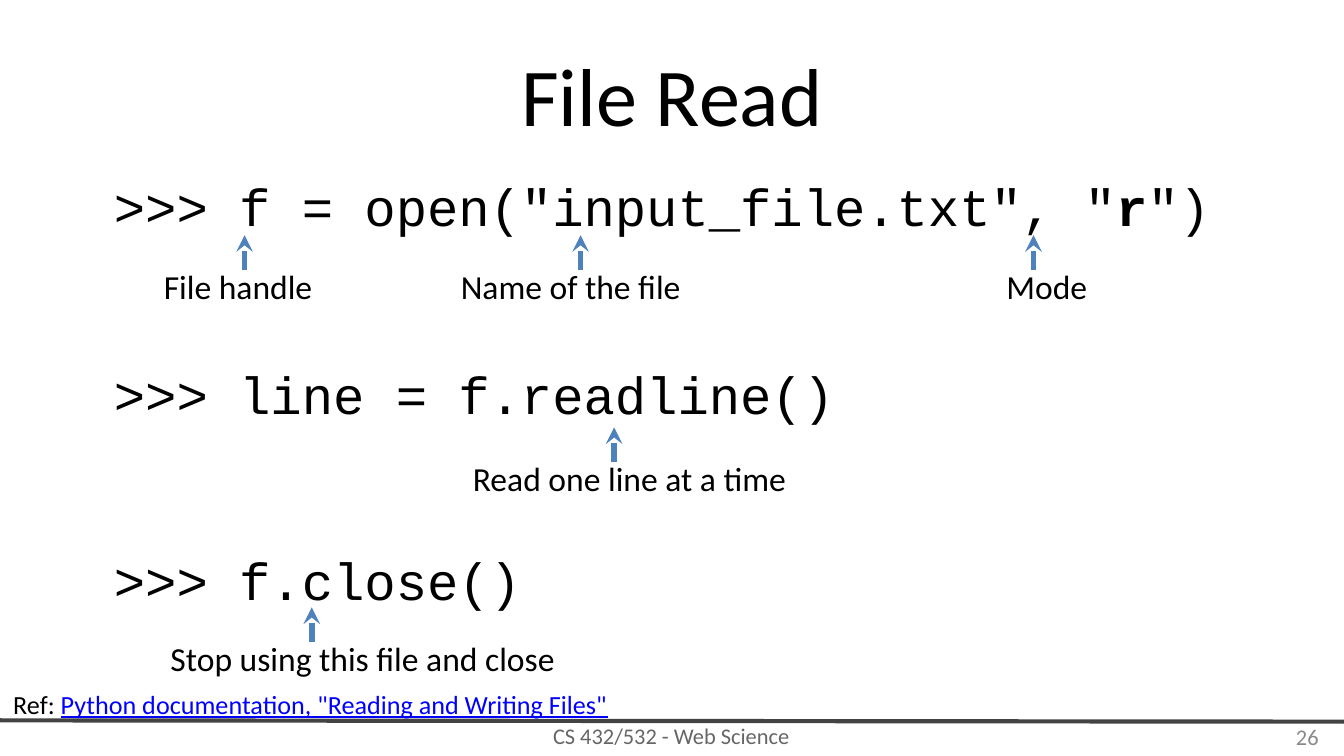
"""Build the File Read slide: three Python calls with labelled arrows."""
from pptx import Presentation
from pptx.dml.color import RGBColor
from pptx.enum.shapes import MSO_CONNECTOR as CONN
from pptx.enum.text import MSO_ANCHOR as ANCHOR, PP_ALIGN as ALIGN
from pptx.oxml.ns import qn
from pptx.util import Pt
from lxml import etree

PX = 914400 // 200
BLACK, BLUE, GREY = "000000", "4F81BD", "434343"


def write(p, text, size, face="Calibri", color=BLACK, **extra):
    r = p.add_run()
    r.text = text
    r.font.color.rgb = RGBColor.from_string(color)
    for name, value in {"size": Pt(size), "name": face, **extra}.items():
        setattr(r.font, name, value)


def line(x1, y1, x2, y2, color, width):
    c = s.shapes.add_connector(CONN.STRAIGHT, x1 * PX, y1 * PX, x2 * PX, y2 * PX)
    c.line.color.rgb = RGBColor.from_string(color)
    c.line.width = Pt(width)
    etree.SubElement(c._element.spPr, qn("a:effectLst"))
    return c


prs = Presentation()
prs.slide_width, prs.slide_height = 2000 * PX, 1125 * PX
s = prs.slides.add_slide(prs.slide_layouts[5])

line(0, 1072, 2000, 1074, GREY, 2.25)

title = s.shapes.title
for name, value in {"left": 100, "top": 46, "width": 1800, "height": 188}.items():
    setattr(title, name, value * PX)
title.text_frame.vertical_anchor = ANCHOR.MIDDLE
p = title.text_frame.paragraphs[0]
p.alignment = ALIGN.CENTER
write(p, "File Read", 44)

code = [
    (6, [('>>> f = open("input_file.txt", "', False), ("r", True), ('")', False)]),
    (67, [(">>> line = f.readline()", False)]),
    (66, [(">>> f.close()", False)]),
]
tf = s.shapes.add_textbox(150 * PX, 250 * PX, 1700 * PX, 736 * PX).text_frame
tf.word_wrap = True
for i, (gap, runs) in enumerate(code):
    p = tf.add_paragraph() if i else tf.paragraphs[0]
    p.space_before = Pt(gap)
    for text, bold in runs:
        write(p, text, 28, "Courier New", bold=bold)

callouts = [
    (364, 402, 224, 276, "File handle"),
    (864, 402, 666, 384, "Name of the file"),
    (1538, 402, 1478, 168, "Mode"),
    (914, 688, 684, 716, "Read one line at a time"),
    (464, 956, 234, 750, "Stop using this file and close"),
]
for x, y, left, width, label in callouts:
    arrow = line(x, y, x, y - 52, BLUE, 3)
    etree.SubElement(arrow.line._get_or_add_ln(), qn("a:tailEnd"), type="stealth")
    tf = s.shapes.add_textbox(left * PX, (y - 16) * PX, width * PX, 80 * PX).text_frame
    tf.word_wrap = True
    write(tf.paragraphs[0], label, 18)

link = {"color": "0000FF", "underline": True}
notes = [
    (364, 1068, 1270, 54, 20, ANCHOR.MIDDLE, ALIGN.CENTER, 12,
     [("CS 432/532 - Web Science", {"color": "666666"})]),
    (1516, 1066, 466, 60, 10, ANCHOR.MIDDLE, ALIGN.RIGHT, 12,
     [("26", {"color": "898989"})]),
    (0, 1004, 1590, 60, 20, ANCHOR.TOP, ALIGN.LEFT, 14,
     [("Ref: ", {}), ('Python documentation, "Reading and Writing Files"', link)]),
]
for x, y, w, h, inset, anchor, align, size, runs in notes:
    tf = s.shapes.add_textbox(x * PX, y * PX, w * PX, h * PX).text_frame
    form = {"word_wrap": True, "vertical_anchor": anchor,
            "margin_top": inset * PX, "margin_bottom": inset * PX}
    for name, value in form.items():
        setattr(tf, name, value)
    p = tf.paragraphs[0]
    p.alignment = align
    for text, extra in runs:
        write(p, text, size, **extra)

prs.save("out.pptx")
